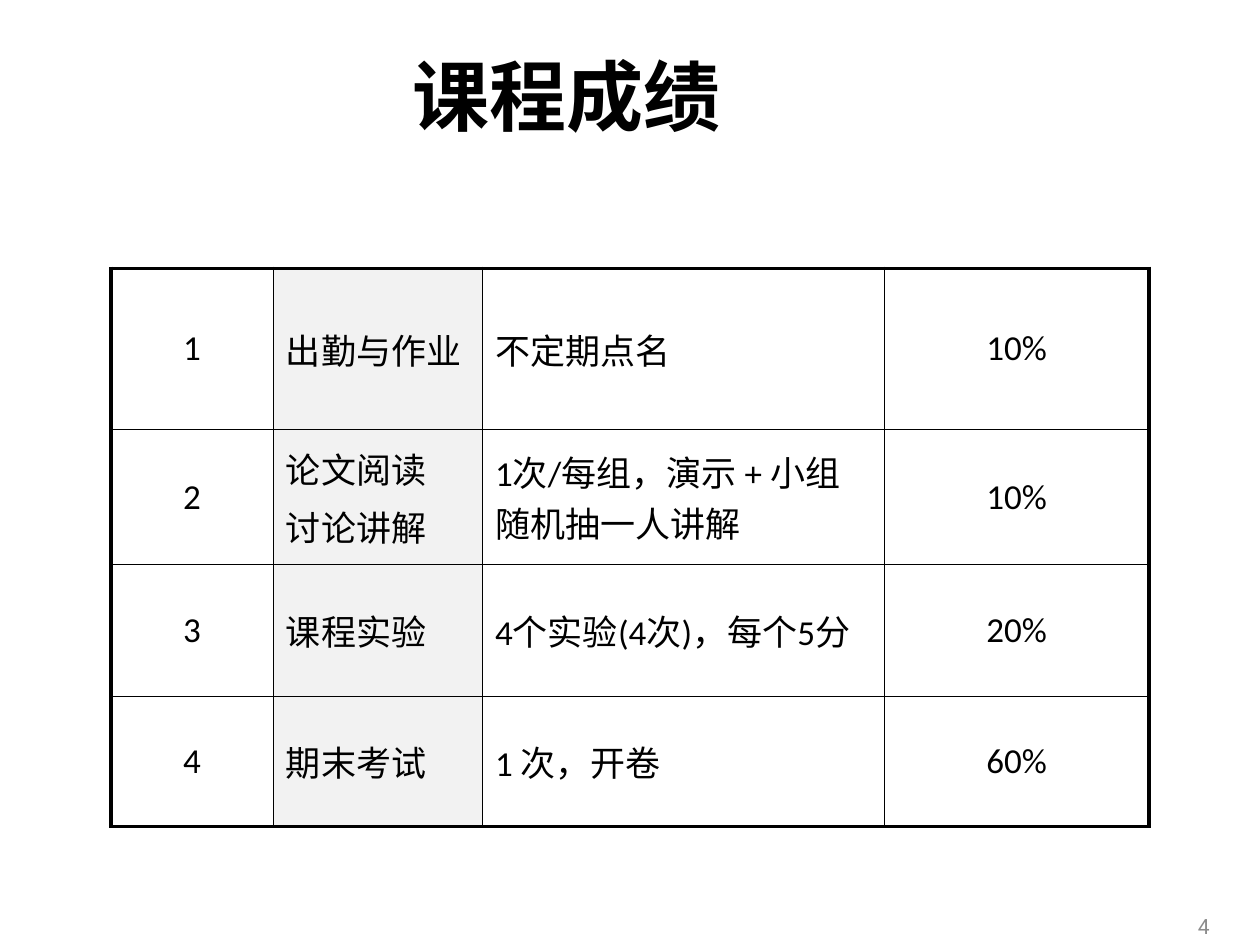
from lxml import etree
from pptx import Presentation
from pptx import util as u
from pptx.dml import color
from pptx.enum import text
from pptx.oxml import ns

WIDTH, HEIGHT = u.Inches(10), u.Inches(7.5)
BLACK, SHADE, GREY = "000000", "F2F2F2", "8C8C8C"
HAN = "Noto Sans CJK SC"
COLUMNS = (1.29, 1.66, 3.19, 2.1)
ROWS = (1.28, 1.07, 1.05, 1.03)
GRADES = (
    ("1", "出勤与作业", "不定期点名", "10%"),
    ("2", "论文阅读\n讨论讲解", "1次/每组，演示 + 小组随机抽一人讲解", "10%"),
    ("3", "课程实验", "4个实验(4次)，每个5分", "20%"),
    ("4", "期末考试", "1 次，开卷", "60%"),
)


def rgb(value):
    return color.RGBColor.from_string(value)


def style(frame, size, font, ink, align, bold=False, before=0):
    for paragraph in frame.paragraphs:
        paragraph.alignment = align
        paragraph.space_before = u.Pt(before)
        for run in paragraph.runs:
            run.font.size = u.Pt(size)
            run.font.name = font
            run.font.bold = bold
            run.font.color.rgb = rgb(ink)
            east_asian = etree.SubElement(run.font._element, ns.qn("a:ea"))
            east_asian.set("typeface", HAN)


def add_label(slide, box, words, **look):
    label = slide.shapes.add_textbox(*box)
    frame = label.text_frame
    frame.word_wrap = True
    frame.vertical_anchor = text.MSO_ANCHOR.MIDDLE
    frame.text = words
    style(frame, **look)


def set_borders(cell, outer):
    properties = cell._tc.get_or_add_tcPr()
    for place, side in enumerate("LRTB"):
        line = etree.Element(ns.qn(f"a:ln{side}"))
        line.set("w", str(u.Pt(2.25 if side in outer else 1)))
        fill = etree.SubElement(line, ns.qn("a:solidFill"))
        etree.SubElement(fill, ns.qn("a:srgbClr")).set("val", BLACK)
        properties.insert(place, line)


def add_grades(slide, box):
    left, top, width, height = box
    grades = slide.shapes.add_table(len(ROWS), len(COLUMNS), *box).table
    grades.first_row = grades.horz_banding = False
    for column, share in zip(grades.columns, COLUMNS):
        column.width = int(width * share / sum(COLUMNS))
    for row, share in zip(grades.rows, ROWS):
        row.height = int(height * share / sum(ROWS))

    last_row, last_column = len(ROWS) - 1, len(COLUMNS) - 1
    for r, entries in enumerate(GRADES):
        for c, words in enumerate(entries):
            cell = grades.cell(r, c)
            cell.text_frame.text = words
            cell.vertical_anchor = text.MSO_ANCHOR.MIDDLE
            centred = c in (0, last_column)
            align = text.PP_ALIGN.CENTER if centred else text.PP_ALIGN.LEFT
            style(cell.text_frame, 20, "Calibri", BLACK, align, before=4)
            if c == 1:
                cell.fill.solid()
                cell.fill.fore_color.rgb = rgb(SHADE)
            else:
                cell.fill.background()
            edges = {"L": c == 0, "R": c == last_column,
                     "T": r == 0, "B": r == last_row}
            set_borders(cell, [side for side, outer in edges.items() if outer])


def share_box(left, top, width, height):
    return (int(WIDTH * left), int(HEIGHT * top),
            int(WIDTH * width), int(HEIGHT * height))


def main():
    deck = Presentation()
    deck.slide_width, deck.slide_height = WIDTH, HEIGHT
    slide = deck.slides.add_slide(deck.slide_layouts[6])
    add_label(slide, share_box(0.93, 0.96, 0.04, 0.04), "4", size=12,
              font="Roboto", ink=GREY, align=text.PP_ALIGN.RIGHT)
    add_label(slide, share_box(0, 0.04, 0.9, 0.12), "课程成绩", size=44,
              font=HAN, ink=BLACK, align=text.PP_ALIGN.CENTER, bold=True)
    add_grades(slide, (u.Inches(0.88), u.Inches(2.13),
                       u.Inches(sum(COLUMNS)), u.Inches(sum(ROWS))))
    deck.save("out.pptx")


if __name__ == "__main__":
    main()
